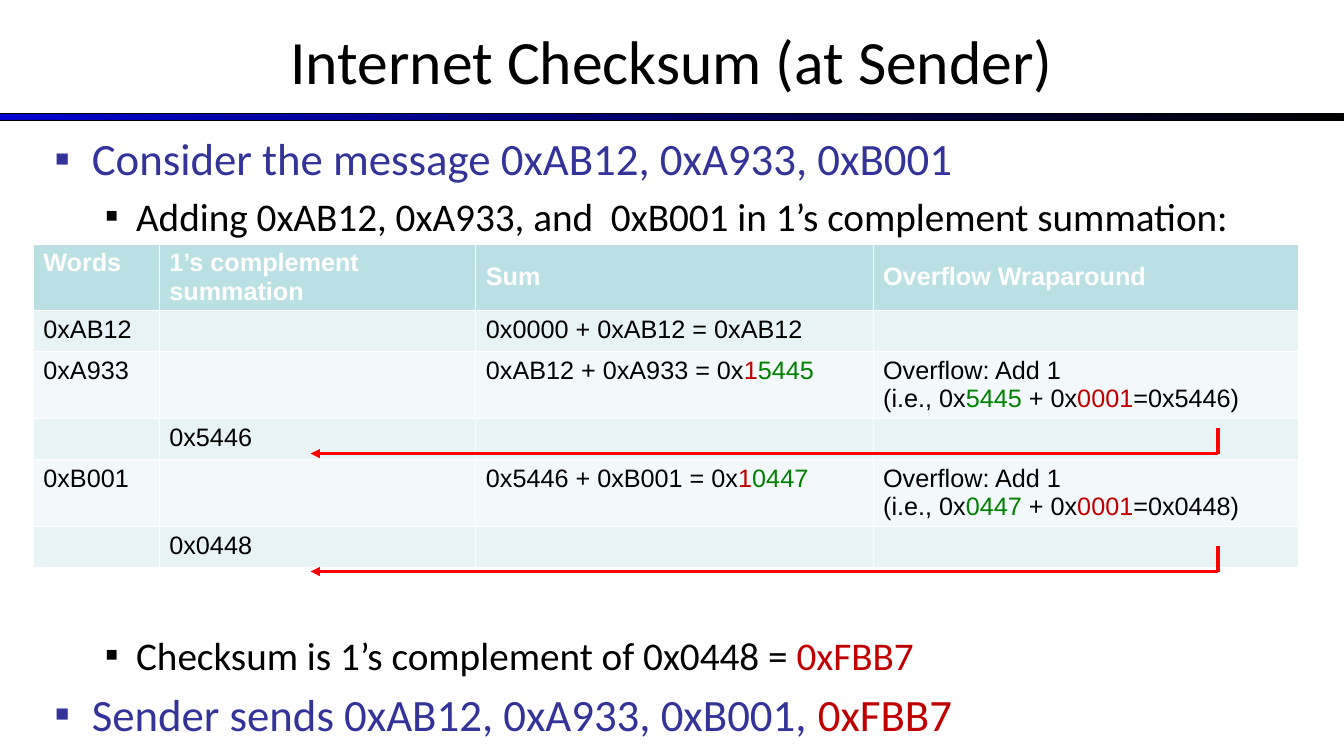
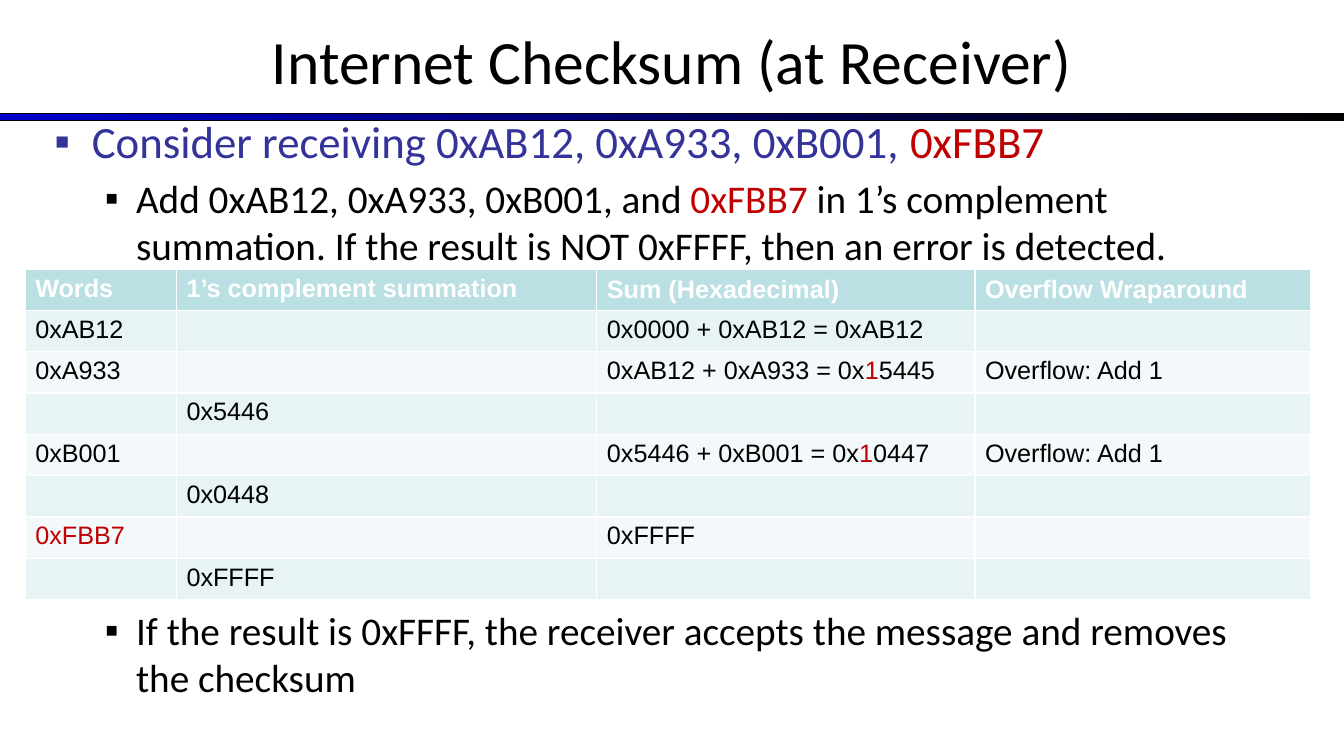
from lxml.etree import SubElement
from pptx import Presentation
from pptx.dml.color import RGBColor
from pptx.enum.shapes import MSO_CONNECTOR, MSO_SHAPE
from pptx.enum.text import MSO_ANCHOR, MSO_AUTO_SIZE, PP_ALIGN
from pptx.oxml.ns import qn
from pptx.util import Inches, Pt

# Shared look
BLACK = RGBColor(0x00, 0x00, 0x00)
WHITE = RGBColor(0xFF, 0xFF, 0xFF)
BAND_BLUE = RGBColor(0x00, 0x00, 0xCC)
INDIGO = RGBColor(0x33, 0x33, 0x99)
DARK_RED = RGBColor(0xC0, 0x00, 0x00)
GREEN = RGBColor(0x00, 0x80, 0x00)
ARROW_RED = RGBColor(0xFF, 0x00, 0x00)
HEADER_FILL = RGBColor(0xBB, 0xE0, 0xE3)
ROW_FILLS = (RGBColor(0xF3, 0xF9, 0xFA), RGBColor(0xE7, 0xF3, 0xF4))

TEXT_FONT = "Calibri"
TABLE_FONT = "Arial"
SLIDE_WIDTH = 13.33
ROW_HEIGHT = 0.41

# For each list level: size, colour, left margin, hanging indent, space before
LEVELS = (
    (32, INDIGO, 0.37, 0.37, 6),
    (28, BLACK, 0.81, 0.31, 5),
)


def add_spans(para, content, size, font=TEXT_FONT, color=BLACK, bold=False):
    """Write a string, or a list of strings and (string, colour) pairs."""
    for item in [content] if isinstance(content, str) else content:
        text, tint = (item, color) if isinstance(item, str) else item
        for index, line in enumerate(text.split("\n")):
            if index:
                para.add_line_break()
            span = para.add_run()
            span.text = line
            span.font.name = font
            span.font.size = Pt(size)
            span.font.bold = bold
            span.font.color.rgb = tint


def place(shape, left, top, width, height):
    shape.left, shape.top = Inches(left), Inches(top)
    shape.width, shape.height = Inches(width), Inches(height)


def add_header(page, title):
    """Title with the gradient band below it."""
    box = page.shapes.title
    place(box, 0, -0.03, SLIDE_WIDTH, 1.25)
    frame = box.text_frame
    frame.auto_size = MSO_AUTO_SIZE.NONE
    frame.vertical_anchor = MSO_ANCHOR.MIDDLE
    frame.paragraphs[0].alignment = PP_ALIGN.CENTER
    add_spans(frame.paragraphs[0], title, 44)

    band = page.shapes.add_shape(MSO_SHAPE.RECTANGLE, 0, Inches(1.13),
                                 Inches(SLIDE_WIDTH), Inches(0.07))
    band.shadow.inherit = False
    band.fill.gradient()
    band.fill.gradient_angle = 0
    for stop, color, position in zip(band.fill.gradient_stops,
                                     (BAND_BLUE, BLACK), (0, 1)):
        stop.color.rgb = color
        stop.position = position
    band.line.color.rgb = BLACK
    band.line.width = Pt(0.75)


def set_bullet(para, color, margin, hanging):
    props = para._p.get_or_add_pPr()
    props.set("marL", str(Inches(margin)))
    props.set("indent", str(-Inches(hanging)))
    tint = SubElement(props, qn("a:buClr"))
    SubElement(tint, qn("a:srgbClr")).set("val", str(color))
    SubElement(props, qn("a:buFont")).set("typeface", TABLE_FONT)
    SubElement(props, qn("a:buChar")).set("char", "▪")


def add_bullets(page, top, items):
    """Fill the body from (level, content[, space before]) items."""
    body = page.placeholders[1]
    place(body, 0.44, top, 12.14, 5.5)
    frame = body.text_frame
    frame.auto_size = MSO_AUTO_SIZE.NONE
    frame.vertical_anchor = MSO_ANCHOR.TOP
    for index, (level, content, *gap) in enumerate(items):
        para = frame.add_paragraph() if index else frame.paragraphs[0]
        size, color, margin, hanging, before = LEVELS[level]
        para.level = level
        para.space_before = Pt(gap[0] if gap else before)
        set_bullet(para, color, margin, hanging)
        add_spans(para, content, size, color=color)


def add_sum_table(page, left, top, widths, rows):
    """Table whose first row is the header; the rest are banded."""
    frame = page.shapes.add_table(
        len(rows), len(widths), Inches(left), Inches(top),
        Inches(sum(widths)), Inches(ROW_HEIGHT * len(rows)))
    table = frame.table
    for column, width in zip(table.columns, widths):
        column.width = Inches(width)
    for r, row in enumerate(rows):
        table.rows[r].height = Inches(ROW_HEIGHT)
        for c, content in enumerate(row):
            cell = table.cell(r, c)
            is_header = r == 0
            cell.fill.solid()
            cell.fill.fore_color.rgb = HEADER_FILL if is_header else ROW_FILLS[r % 2]
            if is_header and c >= 2:
                cell.vertical_anchor = MSO_ANCHOR.MIDDLE
            if content:
                add_spans(cell.text_frame.paragraphs[0], content, 18,
                          font=TABLE_FONT, bold=is_header,
                          color=WHITE if is_header else BLACK)


def add_red_line(page, start, end, arrow=False):
    line = page.shapes.add_connector(
        MSO_CONNECTOR.STRAIGHT, *(Inches(value) for value in start + end))
    line.line.color.rgb = ARROW_RED
    line.line.width = Pt(2.25)
    if arrow:
        SubElement(line.line._get_or_add_ln(), qn("a:tailEnd")).set("type", "triangle")
    SubElement(line._element.spPr, qn("a:effectLst"))


def add_wrap_arrow(page, left, top, width, height):
    """Short drop on the right, then an arrow back to the left."""
    corner = (left + width, top + height)
    add_red_line(page, corner, (left, top + height), arrow=True)
    add_red_line(page, corner, (left + width, top))


def sum_with_carry(terms, digits, color=BLACK):
    return [terms + " = 0x", ("1", DARK_RED), (digits, color)]


def carry_note(digits, result):
    return ["Overflow: Add 1\n(i.e., 0x", (digits, GREEN), " + 0x",
            ("0001", DARK_RED), f"=0x{result})"]


def build_sender(page):
    add_header(page, "Internet Checksum (at Sender)")
    checksum = ("0xFBB7", DARK_RED)
    add_bullets(page, 1.25, [
        (0, "Consider the message 0xAB12, 0xA933, 0xB001"),
        (1, "Adding 0xAB12, 0xA933, and  0xB001 in 1’s complement summation:"),
        (1, ["Checksum is 1’s complement of 0x0448 = ", checksum], 280),
        (0, ["Sender sends 0xAB12, 0xA933, 0xB001, ", checksum]),
    ])
    add_sum_table(page, 0.33, 2.42, (1.25, 3.14, 3.94, 4.22), [
        ("Words", "1’s complement summation", "Sum", "Overflow Wraparound"),
        ("0xAB12", "", "0x0000 + 0xAB12 = 0xAB12", ""),
        ("0xA933", "", sum_with_carry("0xAB12 + 0xA933", "5445", GREEN),
         carry_note("5445", "5446")),
        ("", "0x5446", "", ""),
        ("0xB001", "", sum_with_carry("0x5446 + 0xB001", "0447", GREEN),
         carry_note("0447", "0448")),
        ("", "0x0448", "", ""),
    ])
    for top in (4.25, 5.42):
        add_wrap_arrow(page, 3.08, top, 9, 0.25)


def build_receiver(page):
    add_header(page, "Internet Checksum (at Receiver)")
    add_bullets(page, 1.08, [
        (0, ["Consider receiving 0xAB12, 0xA933, 0xB001, ", ("0xFBB7", DARK_RED)]),
        (1, ["Add 0xAB12, 0xA933, 0xB001, and ", ("0xFBB7 ", DARK_RED),
             "in 1’s complement summation. If the result is NOT 0xFFFF, "
             "then an error is detected."]),
        (1, "If the result is 0xFFFF, the receiver accepts the message "
            "and removes the checksum", 241),
    ])
    add_sum_table(page, 0.25, 2.67, (1.5, 4.17, 3.75, 3.33), [
        ("Words", "1’s complement summation", "Sum (Hexadecimal)",
         "Overflow Wraparound"),
        ("0xAB12", "", "0x0000 + 0xAB12 = 0xAB12", ""),
        ("0xA933", "", sum_with_carry("0xAB12 + 0xA933", "5445"), "Overflow: Add 1"),
        ("", "0x5446", "", ""),
        ("0xB001", "", sum_with_carry("0x5446 + 0xB001", "0447"), "Overflow: Add 1"),
        ("", "0x0448", "", ""),
        ([("0xFBB7", DARK_RED)], "", "0xFFFF", ""),
        ("", "0xFFFF", "", ""),
    ])


def main():
    deck = Presentation()
    deck.slide_width, deck.slide_height = Inches(SLIDE_WIDTH), Inches(7.5)
    for build in (build_sender, build_receiver):
        build(deck.slides.add_slide(deck.slide_layouts[1]))
    deck.save("out.pptx")


if __name__ == "__main__":
    main()
